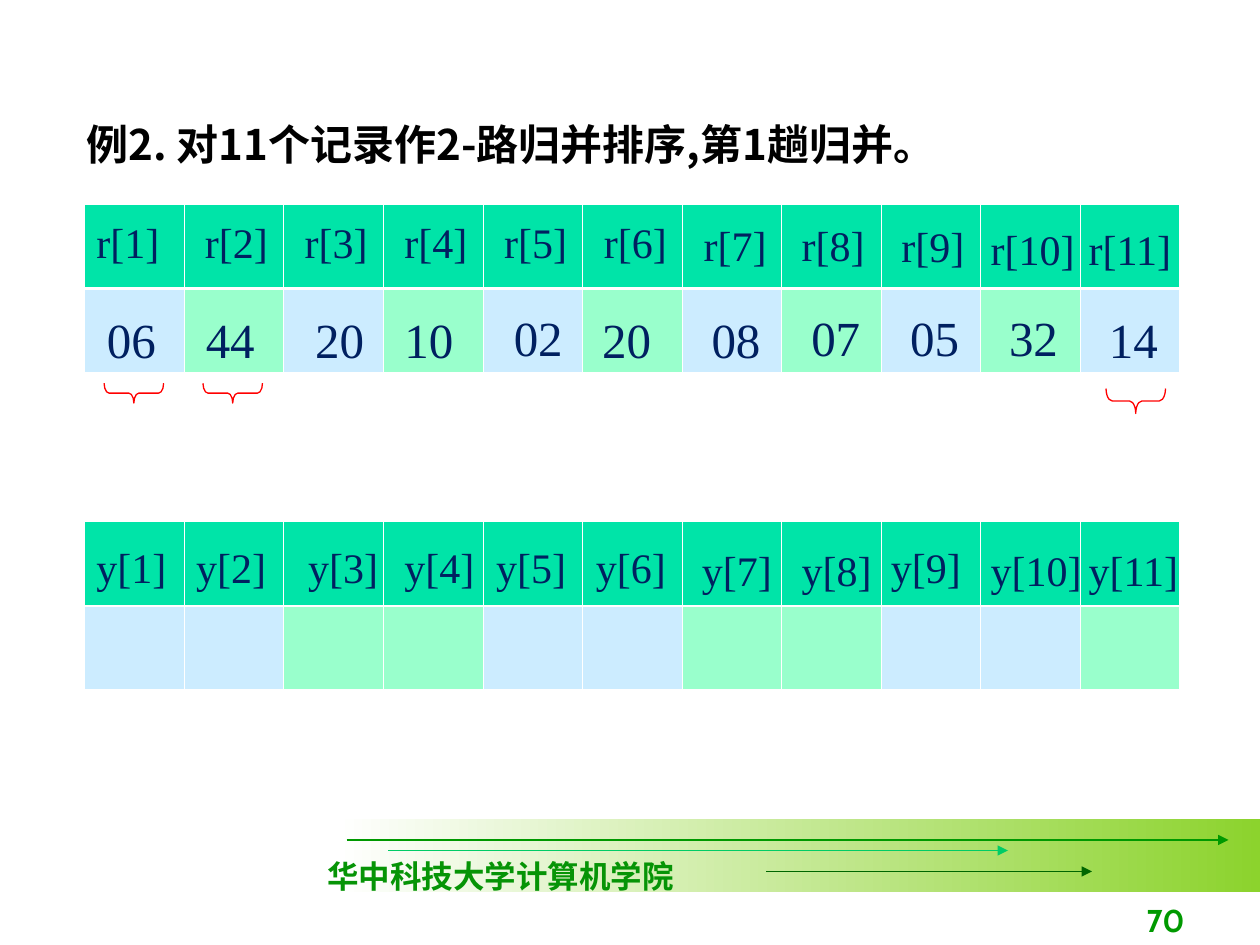
import dataclasses

import pptx
import pptx.dml.color
import pptx.enum.shapes
import pptx.enum.text
import pptx.oxml
import pptx.oxml.ns
import pptx.util

Pt = pptx.util.Pt
Shape = pptx.enum.shapes.MSO_SHAPE
Align = pptx.enum.text.PP_ALIGN
Anchor = pptx.enum.text.MSO_ANCHOR
AutoSize = pptx.enum.text.MSO_AUTO_SIZE


@dataclasses.dataclass(frozen=True)
class Theme:
    white: str = "FFFFFF"
    black: str = "000000"
    navy: str = "002060"
    header: str = "00E4A8"
    blue: str = "CCECFF"
    mint: str = "99FFCC"
    red: str = "FF0000"
    lime: str = "8CD32D"
    green: str = "009900"
    sea: str = "00CC66"
    forest: str = "006600"
    school: str = "069406"
    serif: str = "Times New Roman"
    sans: str = "Noto Sans CJK SC"
    number: str = "Cabin"
    small: int = 18
    label: int = 24
    value: int = 28
    hairline: float = 0.45
    rule: float = 1.47
    stroke: float = 0.75


def rgb(color):
    return pptx.dml.color.RGBColor.from_string(color)


def xml(tag, content="", attrs=""):
    ns = pptx.oxml.ns.nsdecls("a")
    return pptx.oxml.parse_xml(f"<a:{tag} {ns} {attrs}>{content}</a:{tag}>")


class Deck:
    def __init__(self, theme):
        self.theme = theme
        self.prs = pptx.Presentation()
        self.prs.slide_width, self.prs.slide_height = Pt(720), Pt(540)
        self.slide = self.prs.slides.add_slide(self.prs.slide_layouts[6])

    def band(self, x, y, w, h, start, end):
        sp = self.slide.shapes.add_shape(Shape.RECTANGLE, Pt(x), Pt(y), Pt(w), Pt(h))
        sp.shadow.inherit = False
        sp.line.fill.background()
        sp.fill.gradient()
        sp.fill.gradient_angle = 0
        for stop, position, color in zip(sp.fill.gradient_stops, (0, 1), (start, end)):
            stop.position = position
            stop.color.rgb = rgb(color)

    def arrow(self, x1, x2, y, color):
        straight = pptx.enum.shapes.MSO_CONNECTOR.STRAIGHT
        sp = self.slide.shapes.add_connector(straight, Pt(x1), Pt(y), Pt(x2), Pt(y))
        sp.line.color.rgb = rgb(color)
        sp.line.width = Pt(self.theme.stroke)
        sp.line._get_or_add_ln().append(xml("tailEnd", attrs='type="triangle"'))
        sp._element.spPr.append(xml("effectLst"))

    def text(self, text, x, y, w, h, size, color, font, bold=False, wrap=True,
             align=Align.LEFT, anchor=Anchor.TOP, grow=True, spacing=None):
        sp = self.slide.shapes.add_textbox(Pt(x), Pt(y), Pt(w), Pt(h))
        tf = sp.text_frame
        tf.text = text
        tf.word_wrap = wrap
        tf.auto_size = AutoSize.SHAPE_TO_FIT_TEXT if grow else AutoSize.NONE
        tf.vertical_anchor = anchor
        p = tf.paragraphs[0]
        p.alignment = align
        p.line_spacing = spacing
        r = p.runs[0]
        r.font.name, r.font.size, r.font.bold = font, Pt(size), bold
        r.font.color.rgb = rgb(color)
        r._r.get_or_add_rPr().append(xml("ea", attrs=f'typeface="{self.theme.sans}"'))

    def label(self, text, x, y):
        self.text(text, x, y, 66.5, 36, self.theme.label, self.theme.navy, self.theme.serif)

    def value(self, text, x, y):
        self.text(text, x, y, 57, 41, self.theme.value, self.theme.navy, self.theme.serif)

    def border(self, cell, side, width):
        fill = f'<a:solidFill><a:srgbClr val="{self.theme.white}"/></a:solidFill>'
        return xml(f"ln{side}", fill, f'w="{Pt(width)}"')

    def table(self, x, y, col_w, row_h, fills):
        rows, cols = len(fills), len(fills[0])
        frame = self.slide.shapes.add_table(
            rows, cols, Pt(x), Pt(y), Pt(col_w * cols), Pt(row_h * rows))
        table = frame.table
        table.first_row = table.horz_banding = False
        for col in table.columns:
            col.width = Pt(col_w)
        for i, row in enumerate(fills):
            table.rows[i].height = Pt(row_h)
            for j, color in enumerate(row):
                cell = table.cell(i, j)
                tcPr = cell._tc.get_or_add_tcPr()
                for side in "LRTB":
                    inner = side == ("B" if i == 0 else "T")
                    width = self.theme.rule if inner else self.theme.hairline
                    tcPr.append(self.border(cell, side, width))
                cell.fill.solid()
                cell.fill.fore_color.rgb = rgb(color)

    def brace(self, x, y, w, h):
        left, top = x + (w - h) / 2, y + (h - w) / 2
        sp = self.slide.shapes.add_shape(Shape.LEFT_BRACE, Pt(left), Pt(top), Pt(h), Pt(w))
        sp.rotation = 270
        sp.adjustments[0] = 0.25
        sp.shadow.inherit = False
        sp.fill.background()
        sp.line.color.rgb = rgb(self.theme.red)
        sp.line.width = Pt(self.theme.stroke)


def main():
    t = Theme()
    deck = Deck(t)
    count = 11

    deck.band(192, 468, 528, 42, t.white, t.lime)
    for x1, x2, y, color in ((198, 702, 480, t.green), (222, 576, 486, t.sea),
                             (438, 624, 498, t.forest)):
        deck.arrow(x1, x2, y, color)
    deck.text("华中科技大学计算机学院", 180, 486, 212.4, 29, t.small, t.school, t.serif,
              bold=True, wrap=False)
    deck.text("70", 534, 504, 150, 36, t.small, t.green, t.number, bold=True,
              align=Align.RIGHT, anchor=Anchor.BOTTOM, grow=False)

    for y, run in ((298, 2), (116.8, 1)):
        body = [(t.blue, t.mint)[i // run % 2] for i in range(count)]
        deck.table(48.4, y, 56.91, 48.1, [[t.header] * count, body])

    r_x = (48, 110, 167, 224, 281, 338, 395, 451, 508, 559, 615)
    r_y = [120] * 6 + [122, 122, 122.5, 124, 124]
    y_x = (48, 105, 169, 224, 276.5, 333.5, 394, 451, 502, 559, 615)
    y_y = [306] * 6 + [307.5, 307.5, 306, 307.5, 307.5]
    for name, xs, ys in (("r", r_x, r_y), ("y", y_x, y_y)):
        for i, (x, y) in enumerate(zip(xs, ys), 1):
            deck.label(f"{name}[{i}]", x, y)

    records = ("06", "44", "20", "10", "02", "20", "08", "07", "05", "32", "14")
    value_x = (54, 110.5, 173, 224, 286.5, 337, 399.5, 456.5, 513, 569.5, 626.5)
    raised = ("02", "07", "05", "32")
    for record, x in zip(records, value_x):
        deck.value(record, x, 172 if record in raised else 173.5)

    deck.text("例2. 对11个记录作2-路归并排序,第1趟归并。", 42.5, 61.2, 640.8, 38.9,
              t.label, t.black, t.sans, bold=True, spacing=1.1)

    for x, y, h in ((59.5, 219, 11.3), (116, 219, 11.3), (632, 222, 14.2)):
        deck.brace(x, y, 34, h)

    deck.prs.save("out.pptx")


if __name__ == "__main__":
    main()
